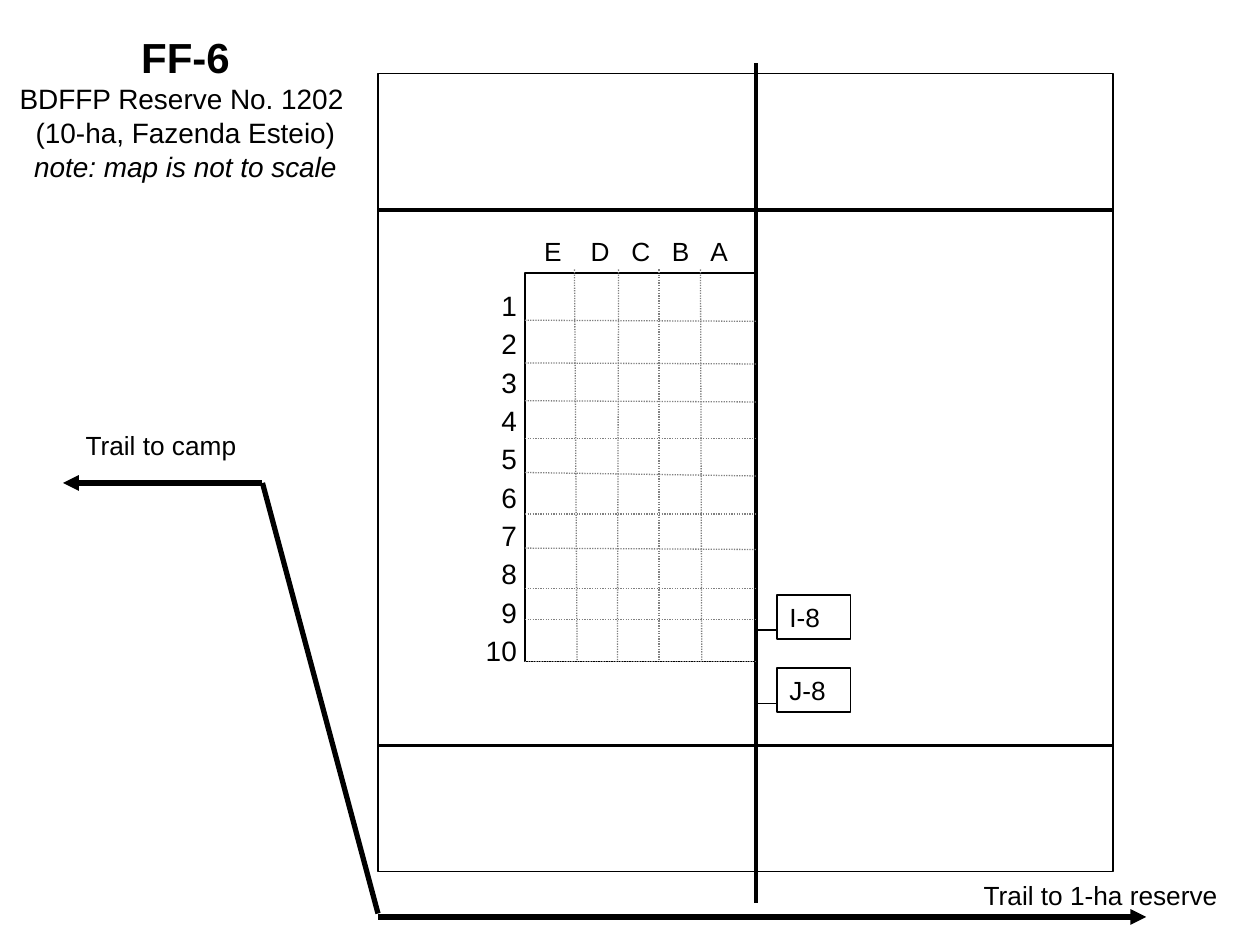
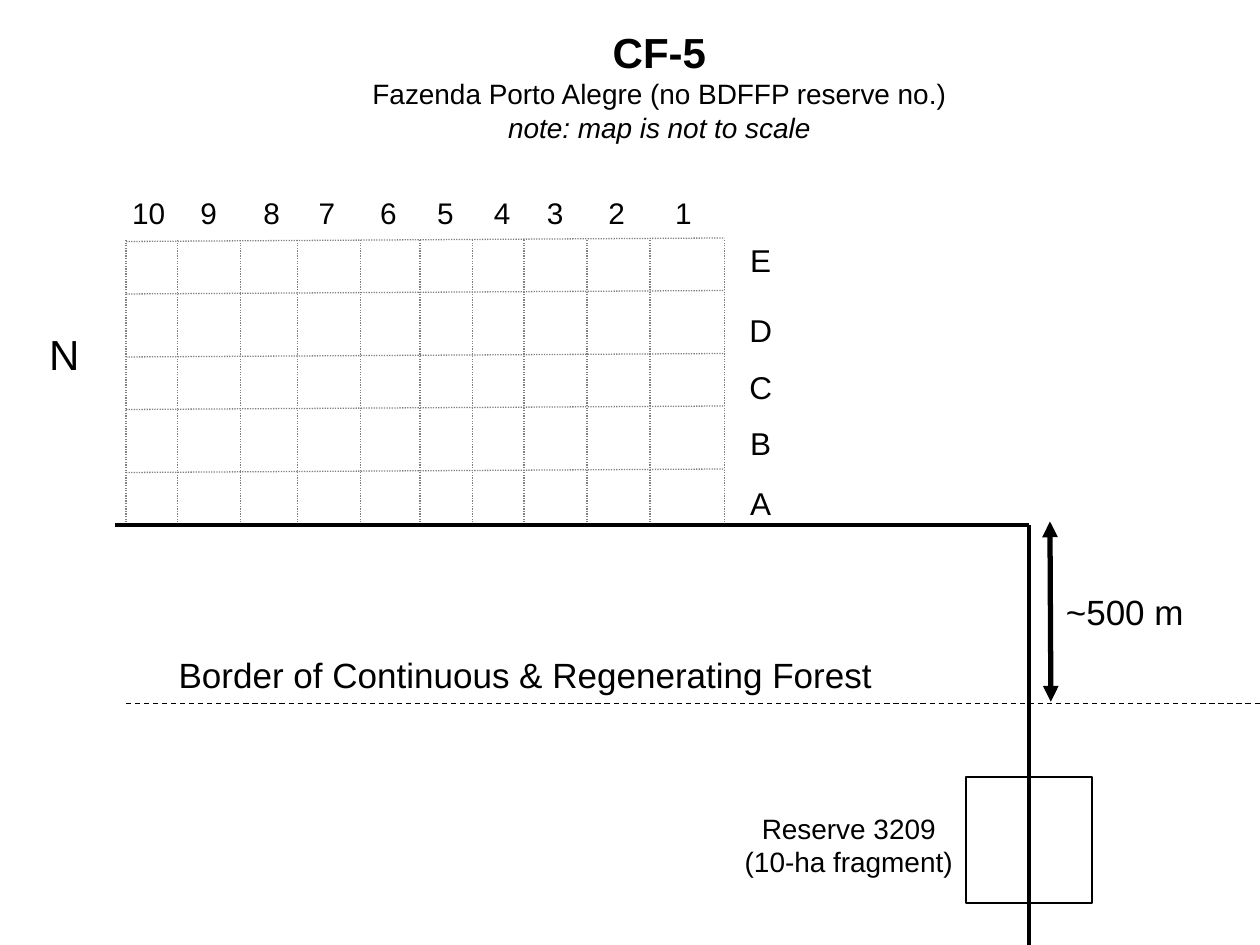
from pptx import Presentation
from pptx.dml.color import RGBColor
from pptx.enum.dml import MSO_LINE
from pptx.enum.shapes import MSO_CONNECTOR, MSO_SHAPE
from pptx.enum.text import MSO_ANCHOR, MSO_AUTO_SIZE, PP_ALIGN
from pptx.oxml.ns import qn
from pptx.util import Pt
from lxml.etree import SubElement

FONT, INK, GREY = "Arial", "000000", "808080"
LEFT, MID, RIGHT = PP_ALIGN.LEFT, PP_ALIGN.CENTER, PP_ALIGN.RIGHT
NOTE = "note: map is not to scale"

# Fragment map: plot edges, labels and trails
FF_HEAD = ["FF-6", "BDFFP Reserve No. 1202 ", "(10-ha, Fazenda Esteio)", NOTE]
FF_COLS = [("E", 316), ("D", 343), ("C", 366.3), ("B", 389), ("A", 411)]
FF_NUMS = [str(n) for n in range(1, 11)]
FF_ROWS = [(183, 183.6), (207.4, 208), (229, 229.7), (250.6, 250.6), (270, 272),
           (293.8, 293.8), (313.2, 314), (336.2, 336.2), (354.2, 354.2), (378, 378)]
FF_CUTS = [(328.3, 329.8), (353.5, 352.8), (376.6, 376.6), (400.3, 401)]
FF_TAGS = [("I-8", 340, 360), ("J-8", 381.6, 402)]
FF_PATHS = [(120, 420), (426, 420)]  # heights of the cross paths
FF_PATHS = [120, 426]
FF_NOTES = [("Trail to camp", 41.8, 242, 132), ("Trail to 1-ha reserve", 555, 499, 156)]

# Continuous forest map: plot edges and labels
CF_HEAD = ["CF-5", "Fazenda Porto Alegre (no BDFFP reserve no.)", NOTE]
CF_NUMS = [("10", 85), ("9", 119.2), ("8", 155.2), ("7", 186.8), ("6", 222),
           ("5", 254.5), ("4", 287), ("3", 317.2), ("2", 352.4), ("1", 390.6)]
CF_ROWS = [("E", 134), ("D", 174.2), ("C", 206.6), ("B", 239), ("A", 273)]
CF_LINES = [138, 168, 204, 234, 270]
CF_CUTS = [72, 101.5, 137.5, 170, 206, 240, 270, 299.5, 335.5, 371.5, 414]


def paint(text):
    return RGBColor.from_string(text)


def fill(frame, lines, size=15, bold=False, slant=False, align=LEFT, space=None, gap=0):
    """Write one paragraph for each line."""
    for i, line in enumerate(lines):
        para = frame.paragraphs[0] if i == 0 else frame.add_paragraph()
        para.alignment = align
        para.space_before = Pt(gap)
        if space:
            para.line_spacing = space
        run = para.add_run()
        run.text = line
        font = run.font
        font.name, font.size, font.bold, font.italic = FONT, Pt(size), bold, slant
        font.color.rgb = paint(INK)


def write(slide, text, x, y, w, h, **style):
    """Add a text box; text is a string or a list of lines."""
    frame = slide.shapes.add_textbox(Pt(x), Pt(y), Pt(w), Pt(h)).text_frame
    frame.word_wrap = True
    fill(frame, [text] if isinstance(text, str) else text, **style)


def head(slide, lines, x, y, w, h):
    """Bold name, plain details and a slanted note in the title."""
    title = slide.shapes.title
    title.left, title.top, title.width, title.height = Pt(x), Pt(y), Pt(w), Pt(h)
    frame = title.text_frame
    frame.auto_size = MSO_AUTO_SIZE.NONE
    frame.vertical_anchor = MSO_ANCHOR.TOP
    frame.word_wrap = True
    fill(frame, lines, size=16, align=MID)
    first, last = frame.paragraphs[0].runs[0], frame.paragraphs[-1].runs[0]
    first.font.size, first.font.bold = Pt(24), True
    last.font.italic = True


def rule(slide, x1, y1, x2, y2, width=0.75, color=INK, dash=None, ends=()):
    """Draw a line; ends names the ends that carry an arrowhead."""
    line = slide.shapes.add_connector(MSO_CONNECTOR.STRAIGHT, Pt(x1), Pt(y1), Pt(x2), Pt(y2))
    line.line.width = Pt(width)
    line.line.color.rgb = paint(color)
    if dash:
        line.line.dash_style = dash
    props = line._element.spPr
    for end in ends:
        SubElement(props.find(qn("a:ln")), qn(f"a:{end}")).set("type", "triangle")
    SubElement(props, qn("a:effectLst"))


def dots(slide, *ends):
    rule(slide, *ends, color=GREY, dash=MSO_LINE.ROUND_DOT)


def box(slide, x, y, w, h, width=0.75, color=None):
    shape = slide.shapes.add_shape(MSO_SHAPE.RECTANGLE, Pt(x), Pt(y), Pt(w), Pt(h))
    shape.shadow.inherit = False
    shape.line.width = Pt(width)
    shape.line.color.rgb = paint(INK)
    if color:
        shape.fill.solid()
        shape.fill.fore_color.rgb = paint(color)
    else:
        shape.fill.background()
    return shape


def fragment(slide):
    head(slide, FF_HEAD, -2, 14.4, 216, 93.6)

    # Reserve border, plot and paths
    west, east, axis, plot, top, foot = 216, 636, 432, 300, 156, 378
    box(slide, west, 42, east - west, 456)
    rule(slide, axis, 36, axis, 516, width=2.25)
    box(slide, plot, top, axis - plot, foot - top)
    for y in FF_PATHS:
        rule(slide, west, y, east, y, width=2.25)

    # Plot labels
    for name, x in FF_COLS:
        write(slide, name, x - 18, 131, 36, 25, align=MID)
    write(slide, FF_NUMS, 266.4, 168, 36, 212, size=16, align=RIGHT, space=0.6, gap=10.4)

    # Trails
    rule(slide, 150, 276, 36, 276, width=3, ends=["tailEnd"])
    rule(slide, 150, 276, west, 522, width=3)
    rule(slide, west, 524, 655, 524, width=3, ends=["tailEnd"])
    for text, x, y, w in FF_NOTES:
        write(slide, text, x, y, w, 25)

    # Tags beside the main path
    for name, y, tick in FF_TAGS:
        rule(slide, axis, tick, 444, tick)
        tag = box(slide, 444, y, 42, 25.4, width=1, color="FFFFFF")
        fill(tag.text_frame, [name])

    # Plot grid
    for y1, y2 in FF_ROWS:
        dots(slide, plot, y1, axis, y2)
    for x1, x2 in FF_CUTS:
        dots(slide, x1, top - 2, x2, foot)


def forest(slide):
    head(slide, CF_HEAD, 205, 11.5, 343.6, 75)

    # Plot grid: rows rise slightly to the right
    base, road = 300, 588
    for y in CF_LINES:
        dots(slide, CF_CUTS[0], y, CF_CUTS[-1], y - 2)
    for x in CF_CUTS:
        dots(slide, x, base, x, 137)

    # Plot labels
    for name, x in CF_NUMS:
        write(slide, name, x - 18, 108, 36, 28, size=17, align=MID)
    for name, y in CF_ROWS:
        write(slide, name, 412.7, y, 44, 29, size=18, align=MID)
    write(slide, "N", 21, 184.3, 42, 36, size=24)

    # Road, forest border and distance
    rule(slide, 66, base, road, base, width=2.25)
    rule(slide, road, base, road, 540, width=2.25)
    rule(slide, 72, 402, 720, 402, dash=MSO_LINE.DASH)
    rule(slide, 600.5, 401, 600, 298, width=3, ends=["headEnd", "tailEnd"])
    write(slide, "Border of Continuous & Regenerating Forest", 95, 370, 496, 32, size=20)
    write(slide, "~500 m", 602, 334, 114, 32, size=20)

    # Reserve
    box(slide, road - 36, 444, 72, 72)
    write(slide, "Reserve 3209 (10-ha fragment)", 414, 460, 142, 46, size=16, align=MID)


def main():
    deck = Presentation()
    deck.slide_width, deck.slide_height = Pt(720), Pt(540)
    for draw in (fragment, forest):
        draw(deck.slides.add_slide(deck.slide_layouts[5]))
    deck.save("out.pptx")


if __name__ == "__main__":
    main()
